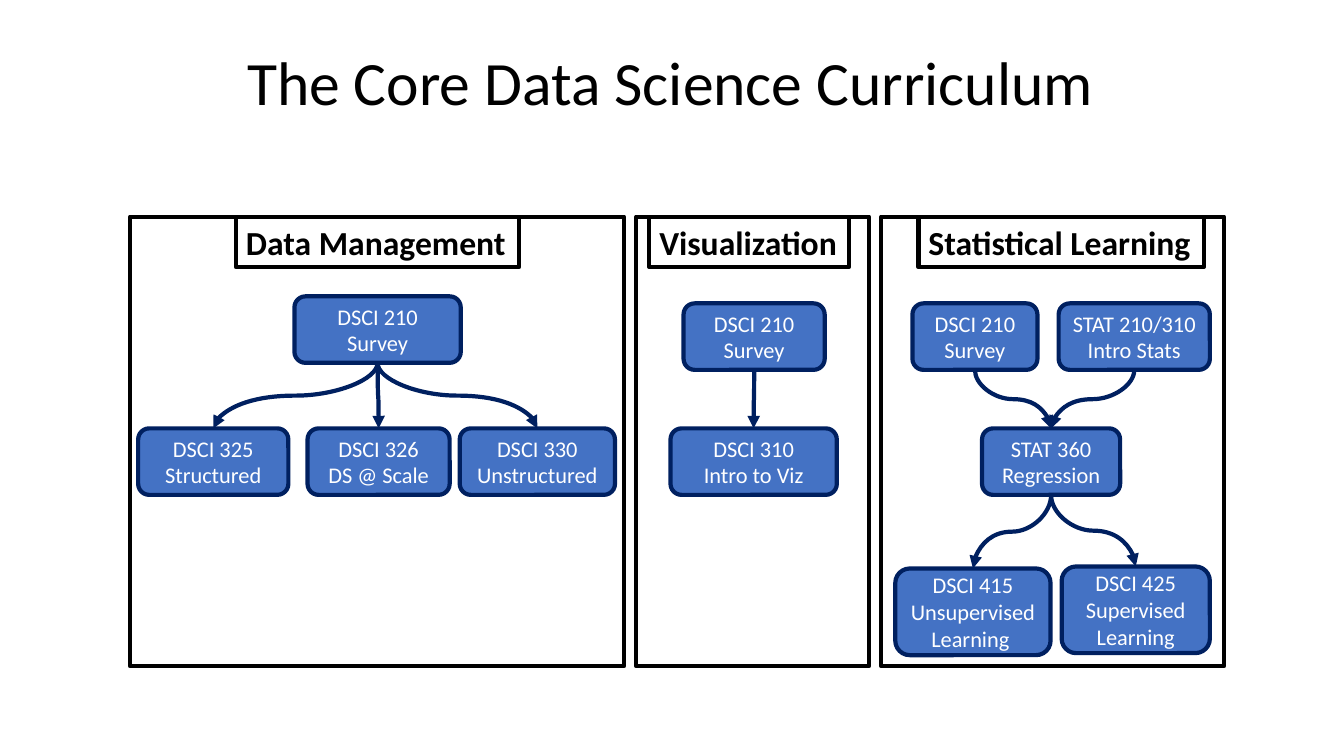
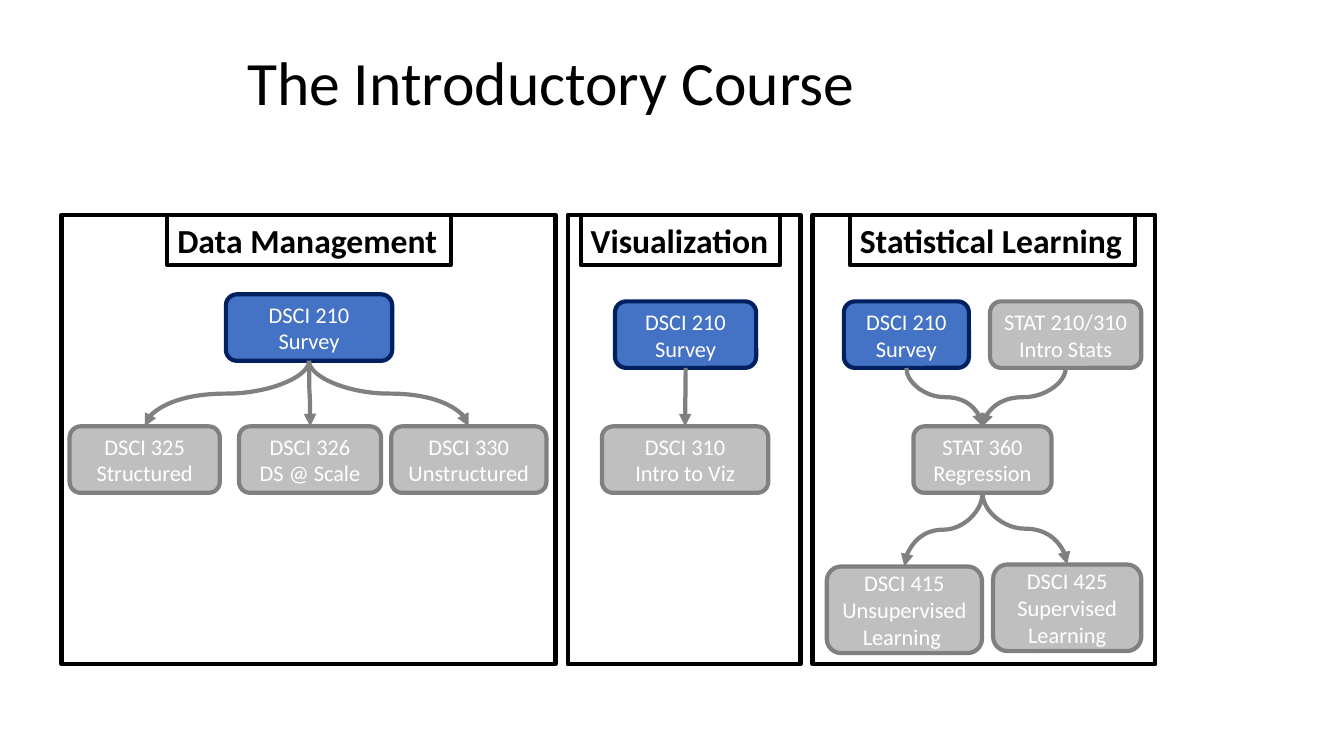
from lxml import etree
from pptx import Presentation
from pptx.dml.color import RGBColor
from pptx.enum.shapes import MSO_CONNECTOR, MSO_SHAPE
from pptx.enum.text import MSO_ANCHOR, MSO_AUTO_SIZE, PP_ALIGN
from pptx.oxml.ns import qn
from pptx.util import Pt

RECT, ROUND = MSO_SHAPE.RECTANGLE, MSO_SHAPE.ROUNDED_RECTANGLE
CURVE = MSO_CONNECTOR.CURVE
TOP, MIDDLE = MSO_ANCHOR.TOP, MSO_ANCHOR.MIDDLE
LEFT, CENTER = PP_ALIGN.LEFT, PP_ALIGN.CENTER
FIXED, GROW = MSO_AUTO_SIZE.NONE, MSO_AUTO_SIZE.SHAPE_TO_FIT_TEXT

PX = 9144
FONT = "Calibri"
COLORS = {
    "black": "000000",
    "white": "FFFFFF",
    "blue": "4472C4",
    "navy": "002060",
    "pale": "BFBFBF",
    "gray": "808080",
}
BRIGHT = ("blue", "navy")
FADED = ("pale", "gray")
INTRO = "DSCI 210"
TOP_Y, TALL = 215, 446
ROW, HIGH = 425, 66

PANELS = [
    {
        "name": "Data Management",
        "label": (234, 281),
        "frame": (129, 490),
        "boxes": [
            ("DSCI 210", ["Survey"], (292, 294, 165, HIGH)),
            ("DSCI 325", ["Structured"], (137, ROW, 149, HIGH)),
            ("DSCI 326", ["DS @ Scale"], (305, ROW, 141, HIGH)),
            ("DSCI 330", ["Unstructured"], (456, ROW, 154, HIGH)),
        ],
        "links": [
            ("DSCI 210", "DSCI 325"),
            ("DSCI 210", "DSCI 330"),
            ("DSCI 210", "DSCI 326"),
        ],
    },
    {
        "name": "Visualization",
        "label": (644, 198),
        "frame": (631, 231),
        "boxes": [
            ("DSCI 210", ["Survey"], (678, 301, 140, HIGH)),
            ("DSCI 310", ["Intro to Viz"], (665, ROW, 165, HIGH)),
        ],
        "links": [("DSCI 210", "DSCI 310")],
    },
    {
        "name": "Statistical Learning",
        "label": (911, 283),
        "frame": (874, 340),
        "boxes": [
            ("DSCI 210", ["Survey"], (905, 301, 124, HIGH)),
            ("STAT 210/310", ["Intro Stats"], (1050, 301, 150, HIGH)),
            ("STAT 360", ["Regression"], (974, ROW, 137, HIGH)),
            ("DSCI 415", ["Unsupervised", "Learning "], (888, 564, 154, 86)),
            ("DSCI 425", ["Supervised", "Learning"], (1053, 562, 147, 86)),
        ],
        "links": [
            ("DSCI 210", "STAT 360"),
            ("STAT 210/310", "STAT 360"),
            ("STAT 360", "DSCI 415"),
            ("STAT 360", "DSCI 425"),
        ],
    },
]


def color(name):
    return RGBColor.from_string(COLORS[name])


def write(frame, lines, size, ink, align, bold=False):
    for i, text in enumerate(lines):
        para = frame.paragraphs[0] if i == 0 else frame.add_paragraph()
        para.alignment = align
        run = para.add_run()
        run.text = text
        font = run.font
        font.name, font.size, font.bold = FONT, Pt(size), bold
        font.color.rgb = color(ink)


def stroke(line, name):
    line.color.rgb = color(name)
    line.width = Pt(3)


def add_box(group, kind, place, edge, fill=None):
    box = group.shapes.add_shape(kind, *(n * PX for n in place))
    box.shadow.inherit = False
    if fill:
        box.fill.solid()
        box.fill.fore_color.rgb = color(fill)
    else:
        box.fill.background()
    stroke(box.line, edge)
    return box


def add_label(group, text, place):
    frame = add_box(group, RECT, place, "black").text_frame
    frame.word_wrap = False
    frame.auto_size = GROW
    frame.vertical_anchor = TOP
    write(frame, [text], 24, "black", LEFT, True)


def add_course(group, lines, place, style):
    fill, edge = style
    box = add_box(group, ROUND, place, edge, fill)
    box.text_frame.word_wrap = True
    box.text_frame.vertical_anchor = MIDDLE
    write(box.text_frame, lines, 16, "white", CENTER)
    return box


def add_link(group, start, end, edge):
    x1, y1 = start.left + start.width // 2, start.top + start.height
    x2, y2 = end.left + end.width // 2, end.top
    link = group.shapes.add_connector(CURVE, x1, y1, x2, y2)
    link.begin_connect(start, 2)
    link.end_connect(end, 0)
    stroke(link.line, edge)
    props = link._element.spPr
    turn = props.find(qn("a:xfrm"))
    turn.attrib.clear()
    if x2 < x1:
        turn.set("rot", "5400000")
    else:
        turn.set("rot", "16200000")
        turn.set("flipH", "1")
    wide, high = y2 - y1, abs(x2 - x1)
    link.left, link.top = (x1 + x2 - wide) // 2, (y1 + y2 - high) // 2
    link.width, link.height = wide, high
    tail = etree.SubElement(props.find(qn("a:ln")), qn("a:tailEnd"))
    tail.set("type", "triangle")
    etree.SubElement(props, qn("a:effectLst"))


def add_panel(slide, panel, dx, dy, faded):
    group = slide.shapes.add_group_shape()
    y = TOP_Y + dy
    x, wide = panel["label"]
    add_label(group, panel["name"], (x + dx, y, wide, 50))
    rest = FADED if faded else BRIGHT
    boxes = {}
    for code, lines, (x, top, wide, high) in panel["boxes"]:
        style = BRIGHT if code == INTRO else rest
        place = (x + dx, top + dy, wide, high)
        boxes[code] = add_course(group, [code] + lines, place, style)
    for start, end in panel["links"]:
        add_link(group, boxes[start], boxes[end], rest[1])
    x, wide = panel["frame"]
    add_box(group, RECT, (x + dx, y, wide, TALL), "black")


def add_slide(deck, text, dx=0, dy=0, faded=False):
    slide = deck.slides.add_slide(deck.slide_layouts[5])
    title = slide.shapes.title
    title.left, title.top = 235 * PX, 40 * PX
    title.width, title.height = 862 * PX, 89 * PX
    frame = title.text_frame
    frame.word_wrap = True
    frame.auto_size = FIXED
    frame.vertical_anchor = MIDDLE
    write(frame, [text], 44, "black", LEFT)
    frame.paragraphs[0].line_spacing = 0.9
    for panel in PANELS:
        add_panel(slide, panel, dx, dy, faded)


def main():
    deck = Presentation()
    deck.slide_width, deck.slide_height = 1333 * PX, 750 * PX
    add_slide(deck, "The Core Data Science Curriculum")
    add_slide(deck, "The Introductory Course", -68, -2, True)
    deck.save("out.pptx")


if __name__ == "__main__":
    main()
